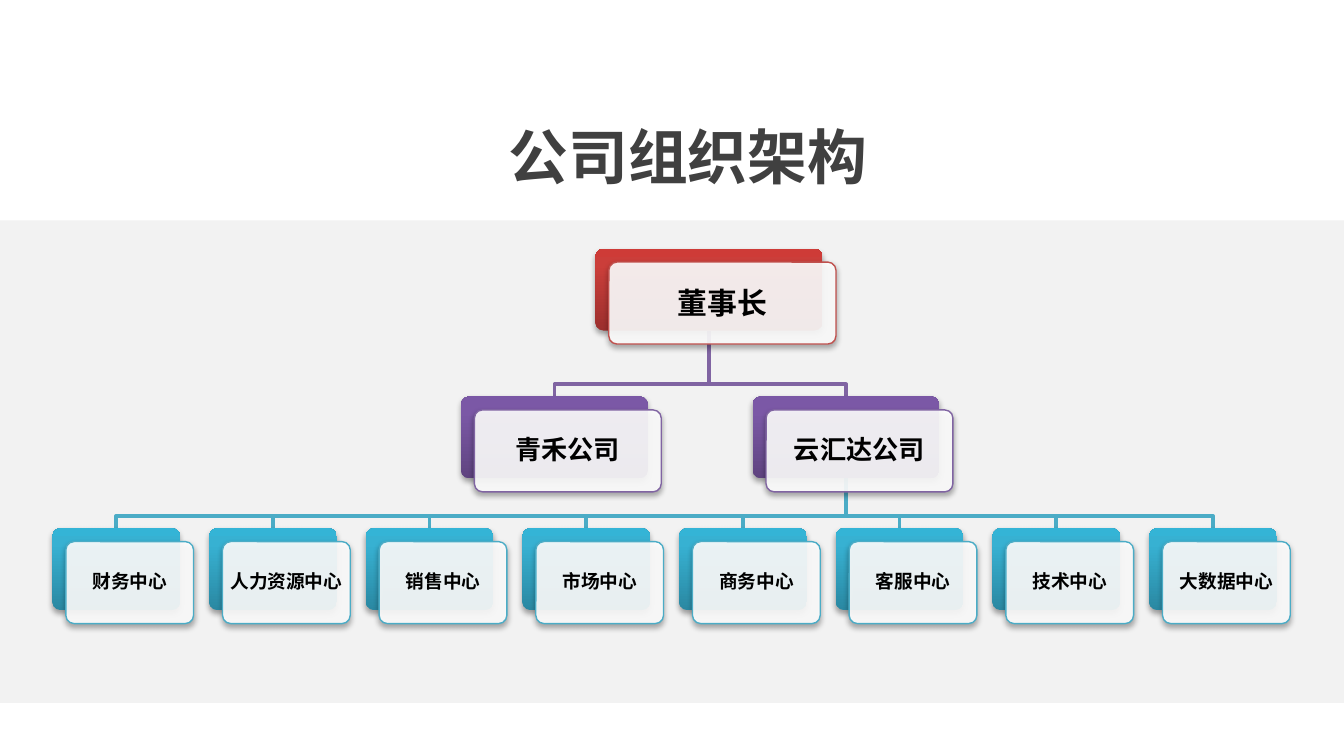
"""Builds a company organisation chart slide."""
from dataclasses import dataclass

from lxml import etree
from pptx import Presentation
from pptx.dml.color import RGBColor
from pptx.enum.shapes import MSO_SHAPE
from pptx.enum.text import MSO_ANCHOR, MSO_AUTO_SIZE, PP_ALIGN
from pptx.oxml import parse_xml
from pptx.oxml.ns import nsdecls, qn
from pptx.shapes.autoshape import Shape
from pptx.slide import Slide
from pptx.text.text import TextFrame
from pptx.util import Inches, Pt

RECTANGLE = MSO_SHAPE.RECTANGLE
ROUNDED = MSO_SHAPE.ROUNDED_RECTANGLE
CENTER = PP_ALIGN.CENTER
MIDDLE = MSO_ANCHOR.MIDDLE
FIT_SHAPE = MSO_AUTO_SIZE.SHAPE_TO_FIT_TEXT

SLIDE_WIDTH = 10
SLIDE_HEIGHT = SLIDE_WIDTH * 9 / 16
CARD_HEIGHT = 0.61
FACE_OFFSET = 0.1
BEND_ABOVE_CARD = 0.09


@dataclass(frozen=True)
class Palette:
    line: str
    gradient: tuple[str, str, str]


@dataclass(frozen=True)
class Theme:
    font: str = "Noto Sans CJK SC"
    band: str = "F2F2F2"
    title: str = "404040"
    label: str = "000000"
    face: str = "FFFFFF"
    title_size: int = 32
    chairman_size: int = 16
    company_size: int = 14
    center_size: int = 10
    red: Palette = Palette("C0504D", ("9C2F2D", "CB3E3A", "CE3B37"))
    purple: Palette = Palette("8064A2", ("5F4480", "7B58A6", "7C57A8"))
    teal: Palette = Palette("4BACC6", ("2A88A2", "37B1D2", "34B4D6"))


THEME = Theme()


@dataclass(frozen=True)
class Card:
    label: str
    left: float
    top: float
    width: float

    @property
    def middle(self) -> float:
        return self.left + self.width / 2


@dataclass(frozen=True)
class Tier:
    labels: tuple[str, ...]
    first_left: float
    last_left: float
    top: float
    width: float
    inset: float
    size: int
    spacing: float
    palette: Palette

    def cards(self) -> list[Card]:
        pitch = (self.last_left - self.first_left) / max(len(self.labels) - 1, 1)
        return [
            Card(label, self.first_left + index * pitch, self.top, self.width)
            for index, label in enumerate(self.labels)
        ]


CHAIRMAN = Tier(("董事长",), 4.43, 4.43, 1.85, 1.69, 0.07,
                THEME.chairman_size, 1.0, THEME.red)
COMPANIES = Tier(("青禾公司", "云汇达公司"), 3.43, 5.6, 2.95, 1.39, 0.06,
                 THEME.company_size, 0.9, THEME.purple)
CENTERS = Tier(
    ("财务中心", "人力资源中心", "销售中心", "市场中心",
     "商务中心", "客服中心", "技术中心", "大数据中心"),
    0.39, 8.55, 3.93, 0.95, 0.03, THEME.center_size, 0.9, THEME.teal)


def rgb(value: str) -> RGBColor:
    return RGBColor.from_string(value)


def write_text(frame: TextFrame, text: str, size: int, color: str) -> None:
    frame.text = text
    frame.word_wrap = True
    paragraph = frame.paragraphs[0]
    paragraph.alignment = CENTER
    font = paragraph.runs[0].font
    font.name, font.size, font.bold = THEME.font, Pt(size), True
    font.color.rgb = rgb(color)
    properties = paragraph.runs[0]._r.get_or_add_rPr()
    etree.SubElement(properties, qn("a:ea")).set("typeface", THEME.font)


def add_band(slide: Slide) -> None:
    band = slide.shapes.add_shape(
        RECTANGLE, 0, Inches(1.64), Inches(SLIDE_WIDTH), Inches(3.59))
    band.shadow.inherit = False
    band.fill.solid()
    band.fill.fore_color.rgb = rgb(THEME.band)
    band.line.fill.background()


def add_title(slide: Slide) -> None:
    title = slide.shapes.add_textbox(
        Inches(1.8), Inches(0.84), Inches(6.64), Inches(0.64))
    write_text(title.text_frame, "公司组织架构", THEME.title_size, THEME.title)
    title.text_frame.auto_size = FIT_SHAPE


def add_branch(slide: Slide, parent: Card, child: Card, color: str) -> None:
    bend = child.top - BEND_ABOVE_CARD
    builder = slide.shapes.build_freeform(
        Inches(parent.middle), Inches(parent.top + CARD_HEIGHT))
    corners = ((parent.middle, bend), (child.middle, bend), (child.middle, child.top))
    builder.add_line_segments([(Inches(x), Inches(y)) for x, y in corners], close=False)
    branch = builder.convert_to_shape()
    branch.shadow.inherit = False
    branch.fill.background()
    branch.line.color.rgb = rgb(color)
    branch.line.width = Pt(2)


def add_panel(slide: Slide, card: Card, offset: float) -> Shape:
    panel = slide.shapes.add_shape(
        ROUNDED, Inches(card.left + offset), Inches(card.top + offset),
        Inches(card.width), Inches(CARD_HEIGHT))
    panel.adjustments[0] = 0.1
    panel.shadow.inherit = False
    panel._element.spPr.find(qn("a:effectLst")).append(parse_xml(
        f'<a:outerShdw {nsdecls("a")} blurRad="{Pt(3.1)}" dist="{Pt(1.8)}" '
        'dir="5400000" rotWithShape="0"><a:srgbClr val="000000">'
        '<a:alpha val="35000"/></a:srgbClr></a:outerShdw>'))
    return panel


def fill_gradient(panel: Shape, colors: tuple[str, str, str]) -> None:
    panel.fill.gradient()
    panel.fill.gradient_angle = 90
    stops = "".join(
        f'<a:gs pos="{position}"><a:srgbClr val="{color}"/></a:gs>'
        for position, color in zip((0, 80000, 100000), colors))
    gradient = panel._element.spPr.find(qn("a:gradFill"))
    gradient.replace(gradient.find(qn("a:gsLst")),
                     parse_xml(f'<a:gsLst {nsdecls("a")}>{stops}</a:gsLst>'))


def add_card(slide: Slide, card: Card, tier: Tier) -> None:
    back = add_panel(slide, card, 0)
    fill_gradient(back, tier.palette.gradient)
    back.line.fill.background()

    face = add_panel(slide, card, FACE_OFFSET)
    face.fill.solid()
    face.fill.fore_color.rgb = rgb(THEME.face)
    color = face._element.spPr.find(qn("a:solidFill")).find(qn("a:srgbClr"))
    etree.SubElement(color, qn("a:alpha")).set("val", "90000")
    face.line.color.rgb = rgb(tier.palette.line)
    face.line.width = Pt(0.75)

    frame = face.text_frame
    write_text(frame, card.label, tier.size, THEME.label)
    frame.vertical_anchor = MIDDLE
    frame.margin_left = frame.margin_right = Inches(tier.inset)
    frame.margin_top = frame.margin_bottom = Inches(tier.inset)
    frame.paragraphs[0].line_spacing = tier.spacing


def main() -> None:
    presentation = Presentation()
    presentation.slide_width = Inches(SLIDE_WIDTH)
    presentation.slide_height = Inches(SLIDE_HEIGHT)
    slide = presentation.slides.add_slide(presentation.slide_layouts[6])
    add_band(slide)
    add_title(slide)
    for parent_tier, child_tier in ((COMPANIES, CENTERS), (CHAIRMAN, COMPANIES)):
        parent = parent_tier.cards()[-1]
        for child in reversed(child_tier.cards()):
            add_branch(slide, parent, child, child_tier.palette.line)
    for tier in (CHAIRMAN, COMPANIES, CENTERS):
        for card in tier.cards():
            add_card(slide, card, tier)
    presentation.save("out.pptx")


if __name__ == "__main__":
    main()
